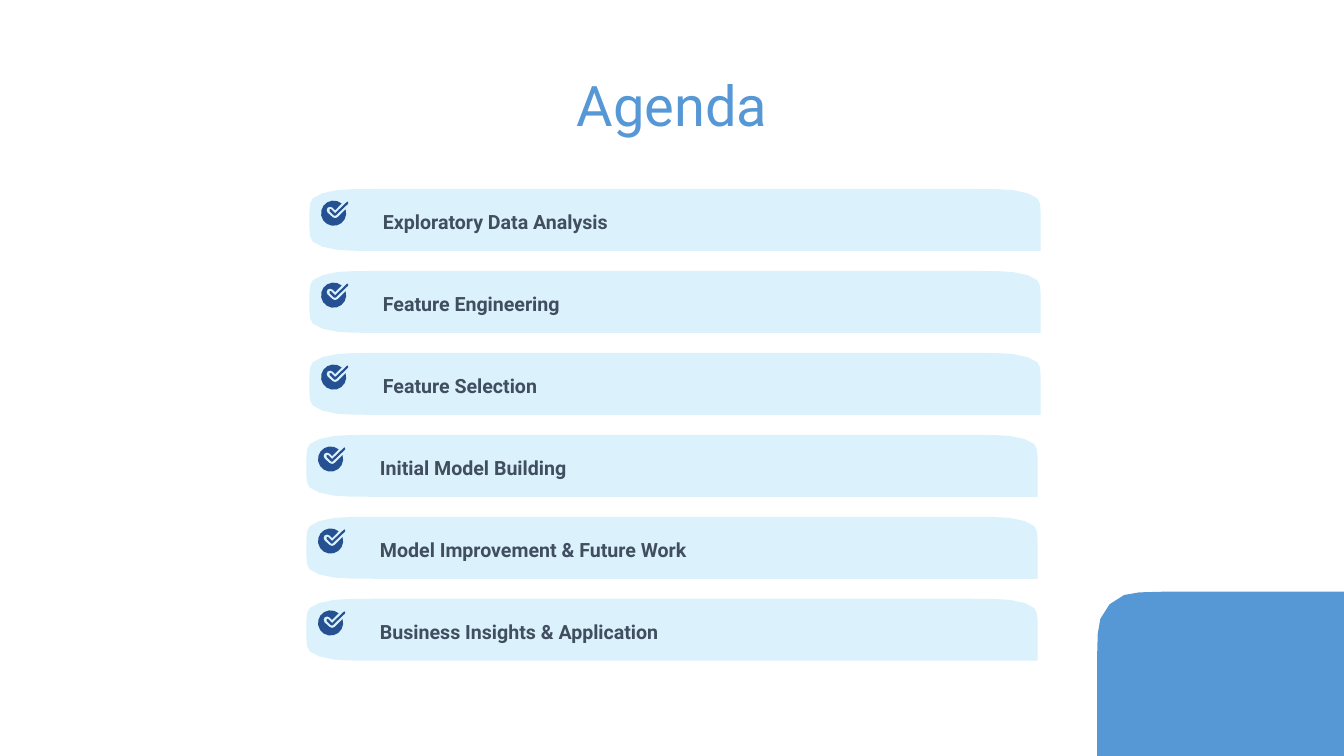
import math

from pptx import Presentation
from pptx.dml.color import RGBColor
from pptx.enum.text import MSO_AUTO_SIZE, PP_ALIGN
from pptx.util import Inches, Pt

CENTER = PP_ALIGN.CENTER
GROW = MSO_AUTO_SIZE.SHAPE_TO_FIT_TEXT

TITLE = "Agenda"
# Each group of items shares a left edge
GROUPS = [
    (6.14, ["Exploratory Data Analysis", "Feature Engineering", "Feature Selection"]),
    (6.08, ["Initial Model Building", "Model Improvement & Future Work",
            "Business Insights & Application"]),
]

THEME = {
    "font": "Roboto",
    "accent": RGBColor(0x56, 0x97, 0xD6),
    "bar": RGBColor(0xDB, 0xF2, 0xFD),
    "check": RGBColor(0x25, 0x51, 0x93),
    "text": RGBColor(0x40, 0x4E, 0x5F),
    "title_size": Pt(80),
    "item_size": Pt(28),
}

FIRST_TOP, LAST_TOP = 3.75, 11.88
BAR_WIDTH, BAR_HEIGHT = 14.51, 1.23

# Rounded corner in units of its radius
UNIT_CORNER = [(1, 0), (0.64, 0.01), (0.41, 0.05), (0.19, 0.19),
               (0.05, 0.41), (0.01, 0.64), (0, 1)]

DISC_RADIUS, DISC_STEPS = 0.25, 14
DISC_START, DISC_END = -18, 310
NOTCH = [(0.28, 0.19), (0.23, 0.14), (0.18, 0.12), (0.13, 0.14), (0.11, 0.19),
         (0.13, 0.24), (0.23, 0.33), (0.28, 0.35), (0.33, 0.33)]
TICK = [(0.52, 0.02), (0.28, 0.25), (0.2, 0.17), (0.17, 0.17), (0.17, 0.21),
        (0.26, 0.3), (0.29, 0.3), (0.54, 0.06), (0.54, 0.03)]


def disc_arc():
    sweep = (DISC_END - DISC_START) / DISC_STEPS
    angles = [math.radians(DISC_START + step * sweep) for step in range(DISC_STEPS + 1)]
    return [(DISC_RADIUS * (1 + math.cos(angle)), DISC_RADIUS * (1 + math.sin(angle)))
            for angle in angles]


def add_outline(page, left, top, contours, color):
    placed = [[(Inches(left + x), Inches(top + y)) for x, y in contour]
              for contour in contours]
    builder = page.shapes.build_freeform(*placed[0][0], scale=1.0)
    for index, contour in enumerate(placed):
        if index:
            builder.move_to(*contour[0])
        builder.add_line_segments(contour[1:], close=True)
    shape = builder.convert_to_shape()
    shape.shadow.inherit = False
    shape.fill.solid()
    shape.fill.fore_color.rgb = color
    shape.line.fill.background()


def add_leaf(page, left, top, width, height, radius_x, radius_y, color):
    """Add a block with every corner rounded but the lower right one."""
    corner = [(x * radius_x, y * radius_y) for x, y in UNIT_CORNER]
    top_left = corner[::-1]
    top_right = [(width - x, y) for x, y in corner]
    bottom_left = [(x, height - y) for x, y in corner]
    outline = top_left + top_right + [(width, height)] + bottom_left
    add_outline(page, left, top, [outline], color)


def add_text(page, left, top, width, height, text, size, color):
    box = page.shapes.add_textbox(Inches(left), Inches(top), Inches(width), Inches(height))
    frame = box.text_frame
    frame.word_wrap = True
    frame.auto_size = GROW
    frame.margin_left = frame.margin_right = Inches(0.06)
    frame.margin_top = frame.margin_bottom = Inches(0.06)
    frame.text = text
    para = frame.paragraphs[0]
    font = para.runs[0].font
    font.name, font.size, font.color.rgb = THEME["font"], size, color
    return para


def add_item(page, left, top, text):
    add_leaf(page, left, top, BAR_WIDTH, BAR_HEIGHT, 1.34, 0.45, THEME["bar"])
    para = add_text(page, left + 1.4, top + 0.27, 11.76, 0.63, text,
                    THEME["item_size"], THEME["text"])
    para.line_spacing = 1.2
    para.runs[0].font.bold = True
    add_outline(page, left + 0.23, top + 0.23, [disc_arc() + NOTCH, TICK], THEME["check"])


def main():
    deck = Presentation()
    deck.slide_width, deck.slide_height = Inches(26.67), Inches(15)
    page = deck.slides.add_slide(deck.slide_layouts[6])

    title = add_text(page, 6.08, 1.34, BAR_WIDTH, 1.46, TITLE,
                     THEME["title_size"], THEME["accent"])
    title.alignment = CENTER
    add_leaf(page, 21.77, 11.74, 6.35, 6.35, 1.31, 1.31, THEME["accent"])

    items = [(left, text) for left, texts in GROUPS for text in texts]
    pitch = (LAST_TOP - FIRST_TOP) / (len(items) - 1)
    for row, (left, text) in enumerate(items):
        add_item(page, left, FIRST_TOP + row * pitch, text)

    deck.save("out.pptx")


if __name__ == "__main__":
    main()
